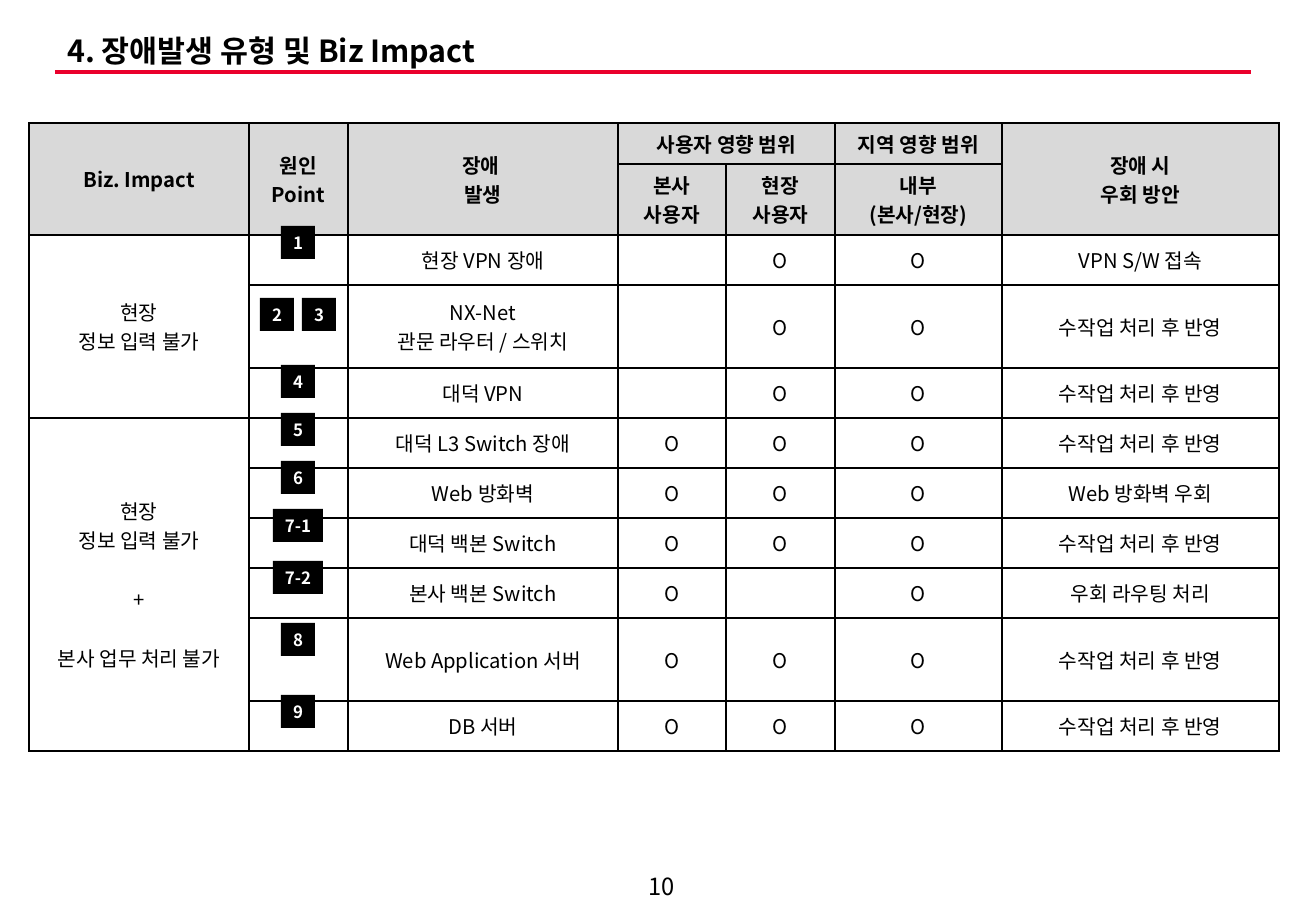
"""Build the slide on failure types and their business impact."""
from pptx import Presentation
from pptx import util as u
from pptx.dml.color import RGBColor
from pptx.enum import shapes, text
from pptx.oxml import parse_xml
from pptx.oxml.ns import nsdecls
from lxml import etree

FONT = "Noto Sans CJK KR"
HUES = {"ink": "000000", "paper": "FFFFFF", "head": "D9D9D9", "rule": "EA002C"}


def px(n):
    return u.Emu(n * 7526)


def write(frame, words, size=12, bold=False, hue="ink", align="CENTER", gaps=()):
    for i, line in enumerate(words.split("\n")):
        para = frame.paragraphs[0] if i == 0 else frame.add_paragraph()
        para.alignment = getattr(text.PP_ALIGN, align)
        if i in gaps:
            para.space_before = u.Pt(17.5)
        run = para.add_run()
        run.text = line
        font = run.font
        font.name, font.size, font.bold = FONT, u.Pt(size), bold
        font.color.rgb = RGBColor.from_string(HUES[hue])
        asian = parse_xml(f'<a:ea {nsdecls("a")} typeface="{FONT}"/>')
        font._element.find("{*}latin").addnext(asian)


deck = Presentation()
deck.slide_width, deck.slide_height = px(1316), px(911)
slide = deck.slides.add_slide(deck.slide_layouts[5])

rule = slide.shapes.add_connector(shapes.MSO_CONNECTOR.STRAIGHT, px(55), px(72), px(1251), px(72))
rule.line.color.rgb = RGBColor.from_string(HUES["rule"])
rule.line.width = u.Pt(2.25)
etree.SubElement(rule._element.spPr, "{http://schemas.openxmlformats.org/drawingml/2006/main}effectLst")

title = slide.shapes.title
title.left, title.top, title.width, title.height = px(55), px(30), px(1158), px(45)
frame = title.text_frame
frame.auto_size = text.MSO_AUTO_SIZE.NONE
frame.vertical_anchor = text.MSO_ANCHOR.MIDDLE
write(frame, "4. 장애발생 유형 및 Biz Impact", size=18, bold=True, align="LEFT")
frame.paragraphs[0].line_spacing = 0.9

page = slide.shapes.add_textbox(px(619), px(867), px(86), px(38))
page.text_frame.word_wrap = True
page.text_frame.vertical_anchor = text.MSO_ANCHOR.MIDDLE
write(page.text_frame, "10", size=14)

COLS = [220, 99, 270, 108, 109, 167, 277]
ROWS = [41, 71, 50, 83, 50, 50, 50, 50, 50, 83, 50]
MANUAL = "수작업 처리 후 반영"
FAULTS = [
    ("현장 VPN 장애", "", "O", "VPN S/W 접속"),
    ("NX-Net\n관문 라우터 / 스위치", "", "O", MANUAL),
    ("대덕 VPN", "", "O", MANUAL),
    ("대덕 L3 Switch 장애", "O", "O", MANUAL),
    ("Web 방화벽", "O", "O", "Web 방화벽 우회"),
    ("대덕 백본 Switch", "O", "O", MANUAL),
    ("본사 백본 Switch", "O", "", "우회 라우팅 처리"),
    ("Web Application 서버", "O", "O", MANUAL),
    ("DB 서버", "O", "O", MANUAL),
]
cells = [
    ["Biz. Impact", "원인Point", "장애 \n발생", "사용자 영향 범위", "", "지역 영향 범위", "장애 시\n우회 방안"],
    ["", "", "", "본사\n사용자", "현장\n사용자", "내부\n(본사/현장)", ""],
]
cells += [["", "", fault, main, site, "O", detour] for fault, main, site, detour in FAULTS]
cells[2][0] = "현장\n정보 입력 불가"
cells[5][0] = "현장\n정보 입력 불가\n+\n본사 업무 처리 불가"

grid = slide.shapes.add_table(len(ROWS), len(COLS), px(29), px(123), px(sum(COLS)), px(sum(ROWS))).table
grid.first_row = grid.horz_banding = False
for col, wide in zip(grid.columns, COLS):
    col.width = px(wide)
for row, tall in zip(grid.rows, ROWS):
    row.height = px(tall)

for r, line in enumerate(cells):
    for c, words in enumerate(line):
        cell = grid.cell(r, c)
        cell.vertical_anchor = text.MSO_ANCHOR.MIDDLE
        cell.fill.solid()
        cell.fill.fore_color.rgb = RGBColor.from_string(HUES["head" if r < 2 else "paper"])
        for i, side in enumerate("LRTB"):
            edge = parse_xml(
                f'<a:ln{side} {nsdecls("a")} w="12700"><a:solidFill>'
                f'<a:srgbClr val="{HUES["ink"]}"/></a:solidFill></a:ln{side}>')
            cell._tc.tcPr.insert(i, edge)
        if words:
            write(cell.text_frame, words, bold=r < 2, gaps=(2, 3))

for top, left, low, right in [(0, 0, 1, 0), (0, 1, 1, 1), (0, 2, 1, 2), (0, 3, 0, 4),
                              (0, 6, 1, 6), (2, 0, 4, 0), (5, 0, 10, 0)]:
    grid.cell(top, left).merge(grid.cell(low, right))

POINTS = [("1", 298, 226), ("2", 277, 298), ("3", 319, 298), ("4", 298, 365), ("5", 298, 413),
          ("6", 298, 461), ("7-1", 298, 509), ("7-2", 298, 561), ("8", 298, 623), ("9", 298, 695)]
for label, mid, top in POINTS:
    wide = 34 if len(label) == 1 else 50
    badge = slide.shapes.add_shape(shapes.MSO_SHAPE.RECTANGLE, px(mid - wide // 2), px(top), px(wide), px(33))
    badge.shadow.inherit = False
    badge.fill.solid()
    badge.fill.fore_color.rgb = RGBColor.from_string(HUES["ink"])
    badge.line.fill.background()
    badge.text_frame.word_wrap = False
    badge.text_frame.vertical_anchor = text.MSO_ANCHOR.MIDDLE
    write(badge.text_frame, label, size=10, bold=True, hue="paper")

deck.save("out.pptx")
